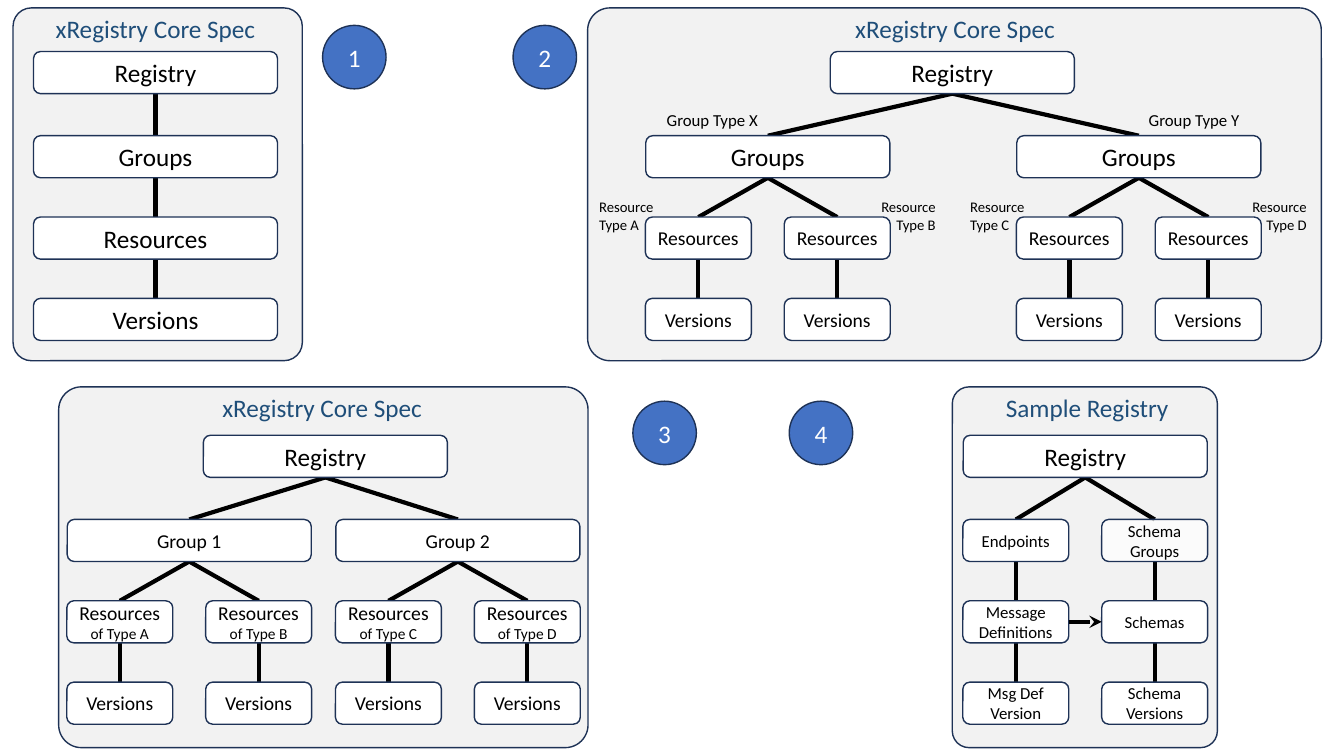
from lxml.etree import SubElement
from pptx import Presentation
from pptx.dml.color import RGBColor
from pptx.enum.shapes import MSO_CONNECTOR, MSO_SHAPE
from pptx.enum.text import MSO_ANCHOR, MSO_AUTO_SIZE, PP_ALIGN
from pptx.oxml.ns import qn
from pptx.util import Cm, Pt

INK, NAVY, TITLE = "000000", "1E3256", "1F4E79"
WHITE, GREY, BLUE = "FFFFFF", "F2F2F2", "4472C4"
ROWS = (1.3, 3.42, 5.47, 7.52)  # box tops in an upper panel
DROP = 9.67  # from the upper panels down to the lower ones
TALL, WIDE, SLIM = 1.06, 6.15, 2.67
SIDE = 1.75  # from a group's middle to a child's middle


def color(code):
    return RGBColor.from_string(code)


def write(frame, text, size, ink=INK, align=PP_ALIGN.CENTER, small=None):
    """Fill the frame; lines after the first take the small size, if given."""
    frame.word_wrap = True
    frame.text = text
    for i, para in enumerate(frame.paragraphs):
        para.alignment = align
        for run in para.runs:
            run.font.name = "Calibri"
            run.font.size = Pt(small if small and i else size)
            run.font.color.rgb = color(ink)


def draw(slide, kind, left, top, width, height, fill=None):
    shape = slide.shapes.add_shape(kind, Cm(left), Cm(top), Cm(width), Cm(height))
    shape.shadow.inherit = False
    if fill:
        shape.fill.solid()
        shape.fill.fore_color.rgb = color(fill)
        shape.line.color.rgb = color(NAVY)
        shape.line.width = Pt(1)
    else:
        shape.fill.background()
        shape.line.fill.background()
    return shape


def panel(slide, left, top, width, height, mid, span, title):
    """Draw a grey panel with its title centred on mid."""
    back = draw(slide, MSO_SHAPE.ROUNDED_RECTANGLE, left, top, width, height, GREY)
    back.adjustments[0] = 0.063
    head = draw(slide, MSO_SHAPE.ROUND_2_SAME_RECTANGLE,
                mid - span / 2, top, span, 0.89)
    head.adjustments[0] = 0.5
    frame = head.text_frame
    frame.margin_top = frame.margin_bottom = 0
    frame.vertical_anchor = MSO_ANCHOR.TOP
    frame.auto_size = MSO_AUTO_SIZE.SHAPE_TO_FIT_TEXT
    write(frame, title, 18, TITLE)


def box(slide, mid, row, drop, width, text, size=18):
    shape = draw(slide, MSO_SHAPE.ROUNDED_RECTANGLE, mid - width / 2,
                 ROWS[row] + drop, width, TALL, WHITE)
    write(shape.text_frame, text, size, small=11 if "of Type" in text else None)
    return shape


def line(slide, x1, y1, x2, y2):
    link = slide.shapes.add_connector(
        MSO_CONNECTOR.STRAIGHT, Cm(x1), Cm(y1), Cm(x2), Cm(y2))
    link.line.color.rgb = color(INK)
    link.line.width = Pt(3)
    SubElement(link._element.spPr, qn("a:effectLst"))
    return link


def join(slide, start, row, end, drop):
    """Link a box to one in the next row."""
    line(slide, start, ROWS[row] + TALL + drop, end, ROWS[row + 1] + drop)


def column(slide, mid, row, drop, width, texts, size):
    """Stack linked boxes from the given row down."""
    for i in range(row, row + len(texts) - 1):
        join(slide, mid, i, mid, drop)
    return [box(slide, mid, i, drop, width, text, size)
            for i, text in enumerate(texts, row)]


def tree(slide, root, drop, groups):
    """Draw a registry over groups, each a middle, name, size and two resources."""
    for mid, name, size, kids in groups:
        join(slide, root, 0, mid, drop)
        for x, kid in zip((mid - SIDE, mid + SIDE), kids):
            join(slide, mid, 1, x, drop)
            column(slide, x, 2, drop, SLIM, (kid, "Versions"), 14)
        box(slide, mid, 1, drop, WIDE, name, size)
    box(slide, root, 0, drop, WIDE, "Registry")


def label(slide, left, top, height, text, size, align):
    area = slide.shapes.add_textbox(Cm(left), Cm(top), Cm(3.48), Cm(height))
    area.text_frame.auto_size = MSO_AUTO_SIZE.SHAPE_TO_FIT_TEXT
    write(area.text_frame, text, size, align=align)


def sample(slide, root):
    """Draw the sample registry, with an arrow between its two columns."""
    left, right = root - SIDE, root + SIDE
    for x in (left, right):
        join(slide, root, 0, x, DROP)
    column(slide, left, 1, DROP, SLIM,
           ("Endpoints", "Message Definitions", "Msg Def Version"), 12)
    first = column(slide, right, 1, DROP, SLIM,
                   ("Schema Groups", "Schemas", "Schema Versions"), 12)[0]
    tint = first._element.spPr.find(qn("a:solidFill"))[0]
    SubElement(tint, qn("a:alpha"), val="75000")
    box(slide, root, 0, DROP, WIDE, "Registry")
    y = ROWS[2] + DROP + TALL / 2
    arrow = line(slide, left + SLIM / 2, y, right - SLIM / 2, y)
    SubElement(arrow.line._get_or_add_ln(), qn("a:tailEnd"), type="stealth")


def main():
    deck = Presentation()
    deck.slide_width, deck.slide_height = Cm(33.87), Cm(19.05)
    slide = deck.slides.add_slide(deck.slide_layouts[6])
    core = "xRegistry Core Spec"

    panel(slide, 0.33, 0.2, 7.29, 8.89, 3.92, 6.93, core)
    column(slide, 3.92, 0, 0, WIDE,
           ("Registry", "Groups", "Resources", "Versions"), 18)

    panel(slide, 14.81, 0.2, 18.49, 8.89, 24.07, 5.97, core)
    mids = (19.35, 28.7)
    tree(slide, 24.0, 0, [(x, "Groups", 18, ("Resources",) * 2) for x in mids])
    for x, types in zip(mids, ("AB", "CD")):
        spots = ((x - 4.5, PP_ALIGN.LEFT), (x + 1, PP_ALIGN.RIGHT))
        for (left, align), kind in zip(spots, types):
            label(slide, left, 4.86, 1.14, f"Resource\nType {kind}", 10.5, align)
    label(slide, mids[0] - 3.48, 2.64, 0.76, "Group Type X", 12, PP_ALIGN.RIGHT)
    label(slide, mids[1], 2.64, 0.76, "Group Type Y", 12, PP_ALIGN.LEFT)

    panel(slide, 1.48, 9.75, 13.34, 9.09, 8.12, 12.17, core)
    tree(slide, 8.2, DROP,
         [(x, name, 14, [f"Resources\nof Type {kind}" for kind in types])
          for x, name, types in ((4.77, "Group 1", "AB"), (11.54, "Group 2", "CD"))])

    panel(slide, 24.0, 9.75, 6.68, 9.09, 27.4, 6.27, "Sample Registry")
    sample(slide, 27.35)

    spots = ((8.13, 0.64), (12.93, 0.64), (15.95, 10.11), (19.89, 10.11))
    for i, (left, top) in enumerate(spots, 1):
        badge = draw(slide, MSO_SHAPE.OVAL, left, top, 1.6, 1.6, BLUE)
        write(badge.text_frame, str(i), 18, WHITE)

    deck.save("out.pptx")


if __name__ == "__main__":
    main()
